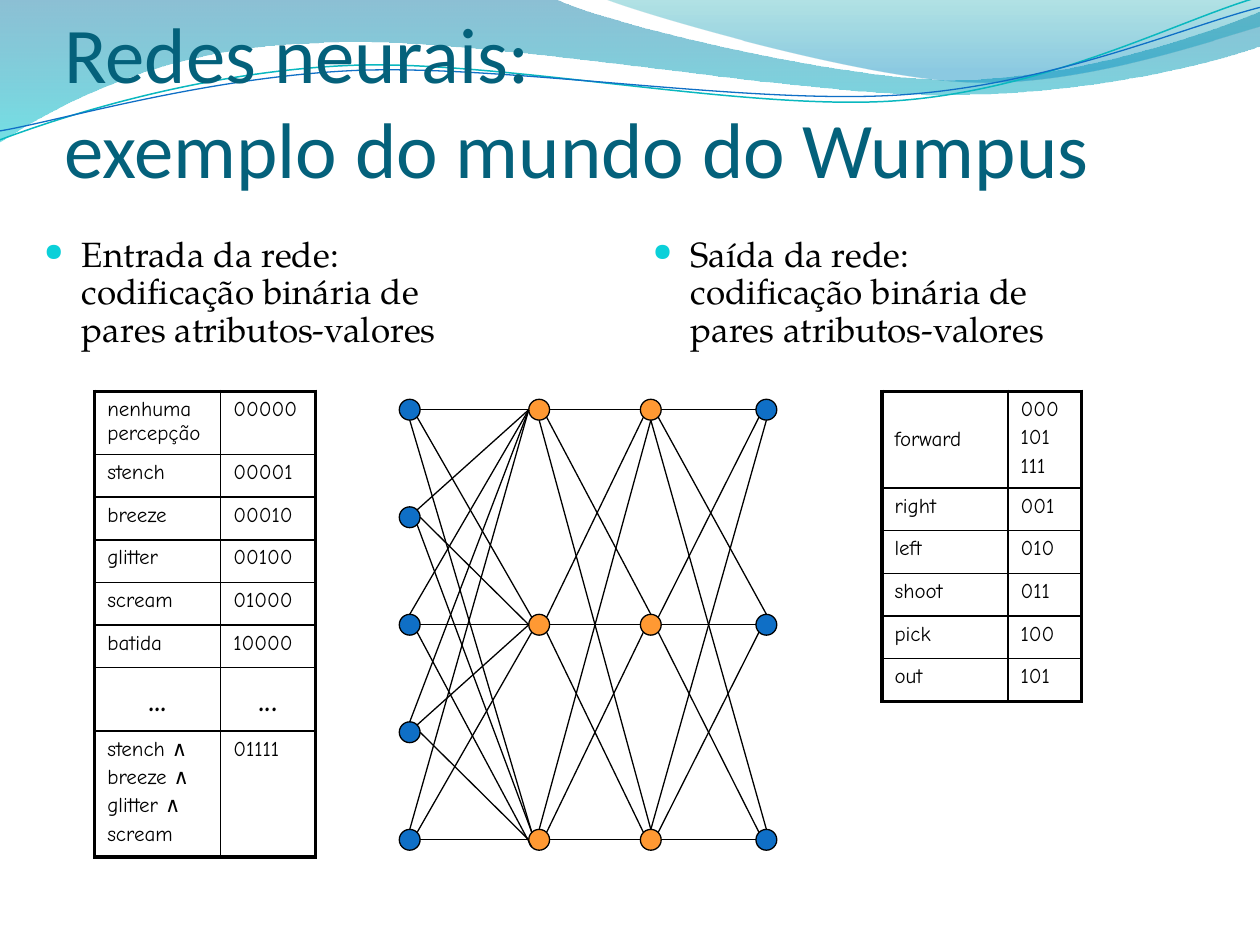
import lxml.etree
import pptx
import pptx.dml.color
import pptx.enum.shapes
import pptx.enum.text
import pptx.oxml.ns
import pptx.util

Cm = pptx.util.Cm
Pt = pptx.util.Pt
qn = pptx.oxml.ns.qn
ALIGN = pptx.enum.text.PP_ALIGN
ANCHOR = pptx.enum.text.MSO_ANCHOR

HUE = {"black": "000000", "title": "04617B", "bullet": "0BD0D9",
       "blue": "0F6FC6", "orange": "FF9933", "teal": "0AB8BF",
       "sea": "0074A1", "aqua": "00C6CF", "mint": "00A1A9", "sky": "008BBF"}

# One point is a straight step; three points are a Bézier step.
WAVES = [
    ([[(0, 0)], [(11.18, -0.03)],
      [(12.09, 0.43), (16.87, 1.6), (19.25, 1.6)],
      [(21.67, 1.6), (24.33, 0.66), (25.4, 0.23)], [(25.43, 0.91)],
      [(24.97, 1.12), (22.1, 1.93), (18.95, 1.91)],
      [(15.8, 1.91), (9.7, 0.71), (6.53, 0.86)],
      [(3.28, 0.91), (1.17, 2.11), (-0.03, 2.87)], [(0, 0)]],
     [(0, "sea", 45), (1, "aqua", 55)]),
    ([[(12.17, -0.03)],
      [(12.93, 0.28), (17.32, 1.57), (19.53, 1.65)],
      [(21.74, 1.75), (24.41, 0.81), (25.4, 0.53)],
      [(25.4, 0)], [(12.17, -0.03)]],
     [(0, "mint", 30), (0.8, "sky", 45)]),
]
STROKES = [
    ([[(0, 2.82)],
      [(1.22, 2.36), (4.01, 1.45), (7.04, 1.32)],
      [(10.03, 1.19), (15.06, 2.26), (18.11, 2.03)],
      [(21.16, 1.8), (23.83, 0.38), (25.35, -0.05)]], "teal", 0.85),
    ([[(0, 2.64)],
      [(1.19, 2.44), (4.17, 1.55), (7.19, 1.42)],
      [(10.24, 1.3), (15.16, 2.13), (18.21, 1.91)],
      [(21.23, 1.7), (23.9, 0.53), (25.4, 0.15)]], "blue", 0.75),
]

TITLE = "Redes neurais:\vexemplo do mundo do Wumpus"
NOTES = [
    (0.64, 9.32, "Entrada da rede:\vcodificação binária de\vpares atributos-valores"),
    (12.91, 11.86, "Saída da rede:\vcodificação binária de\vpares atributos-valores"),
]

# Left edge, height, column widths, rows of label and code
GRIDS = [
    (1.91, 9.53, (2.54, 1.91), [
        ("nenhuma percepção", "00000"), ("stench", "00001"),
        ("breeze", "00010"), ("glitter", "00100"), ("scream", "01000"),
        ("batida", "10000"), ("...", "..."),
        ("stench ∧\nbreeze ∧\nglitter ∧\nscream", "01111")]),
    (17.78, 6.3, (2.54, 1.48), [
        ("forward", "000\n101\n111"), ("right", "001"), ("left", "010"),
        ("shoot", "011"), ("pick", "100"), ("out", "101")]),
]

# Centre of each layer, number of nodes, colour
LAYERS = [(8.26, 5, "blue"), (10.87, 3, "orange"),
          (13.12, 3, "orange"), (15.45, 3, "blue")]
NET_TOP, NET_TALL, RADIUS = 8.26, 8.67, 0.21
# Node and side at the start, node and side at the end
FIRST = ["0e 0w", "0se 1nw", "0s 2nw", "1ne 0w", "2n 0w", "3n 0w", "4n 0w",
         "1e 1w", "1se 2nw", "2e 1w", "2se 2sw", "3ne 1w", "4ne 1sw",
         "3e 2w", "4e 2w"]
LATER = ["0e 0w", "0s 2n", "0se 1n", "1e 1w", "1se 2nw", "1ne 0sw",
         "2e 2w", "2n 0s", "2ne 1sw"]
LINKS = [FIRST, LATER, LATER]


def rgb(name):
    return pptx.dml.color.RGBColor.from_string(HUE[name])


def put(frame, text, size=12, font="Comic Neue", color="black",
        align=ALIGN.LEFT, gap=0, bullet=False, space=None):
    """Write text in a frame, one paragraph to a line."""
    for i, line in enumerate(text.split("\n")):
        para = frame.add_paragraph() if i else frame.paragraphs[0]
        if bullet:
            mark(para)
        para.text = line
        para.alignment = align
        para.space_before = Pt(gap if i else 0)
        if space:
            para.line_spacing = space
        for run in para.runs:
            run.font.name = font
            run.font.size = Pt(size)
            run.font.color.rgb = rgb(color)


def mark(para):
    """Give a paragraph a round bullet and a hanging indent."""
    props = para._p.get_or_add_pPr()
    props.set("marL", str(Cm(0.76)))
    props.set("indent", str(-Cm(0.76)))
    tint = lxml.etree.SubElement(props, qn("a:buClr"))
    lxml.etree.SubElement(tint, qn("a:srgbClr"), val=HUE["bullet"])
    lxml.etree.SubElement(props, qn("a:buSzPct"), val="70000")
    lxml.etree.SubElement(props, qn("a:buChar"), char="●")


def box(slide, left, top, wide, high):
    frame = slide.shapes.add_textbox(Cm(left), Cm(top), Cm(wide), Cm(high)).text_frame
    frame.word_wrap = True
    return frame


def draw(slide, steps):
    """Draw a freeform, then bend each step of three points into a curve."""
    pts = [(Cm(x), Cm(y)) for step in steps for x, y in step]
    pen = slide.shapes.build_freeform(*pts[0])
    pen.add_line_segments(pts[1:], close=pts[0] == pts[-1])
    shape = pen.convert_to_shape()
    shape.shadow.inherit = False
    lines = iter(list(shape._element.iter(qn("a:lnTo"))))
    for step in steps[1:]:
        group = [next(lines) for _ in step]
        if len(group) == 3:
            curve = lxml.etree.Element(qn("a:cubicBezTo"))
            group[0].addprevious(curve)
            for line in group:
                curve.append(line[0])
                line.getparent().remove(line)
    return shape


def wash(shape, stops):
    """Fill a shape from top to bottom with see-through colours."""
    shape.line.fill.background()
    shape.fill.gradient()
    shape.fill.gradient_angle = 270
    for stop, (place, color, _) in zip(shape.fill.gradient_stops, stops):
        stop.position = place
        stop.color.rgb = rgb(color)
    tints = shape._element.spPr.iter(qn("a:srgbClr"))
    for tint, (_, _, alpha) in zip(tints, stops):
        lxml.etree.SubElement(tint, qn("a:alpha"), val=str(alpha * 1000))


def edge(cell, side, width):
    line = lxml.etree.SubElement(cell._tc.get_or_add_tcPr(), qn("a:ln" + side),
                                 w=str(Pt(width)))
    fill = lxml.etree.SubElement(line, qn("a:solidFill"))
    lxml.etree.SubElement(fill, qn("a:srgbClr"), val=HUE["black"])


def grid(slide, left, high, cols, rows):
    frame = slide.shapes.add_table(len(rows), len(cols), Cm(left), Cm(7.89),
                                   Cm(sum(cols)), Cm(high))
    table = frame.table
    table.first_row = table.horz_banding = False
    for c, wide in enumerate(cols):
        table.columns[c].width = Cm(wide)
    last = len(rows) - 1
    for r, texts in enumerate(rows):
        dots = texts[0] == "..."
        table.rows[r].height = Cm(0.51 if dots else 0.86)
        for c, text in enumerate(texts):
            cell = table.cell(r, c)
            put(cell.text_frame, text, size=24 if dots else 12, gap=2.4,
                align=ALIGN.CENTER if dots else ALIGN.LEFT)
            if text == "forward":
                cell.vertical_anchor = ANCHOR.MIDDLE
            outer = {"L": c == 0, "R": c == 1, "T": r == 0, "B": r == last}
            for side, thick in outer.items():
                edge(cell, side, 2.25 if thick else 1)
            cell.fill.background()
    frame.height = Cm(high)


def spot(layer, end):
    """Find the point on a node's rim, from a name such as 0se."""
    x, count, _ = LAYERS[layer]
    side = end[1:]
    dx = ("e" in side) - ("w" in side)
    dy = ("s" in side) - ("n" in side)
    reach = RADIUS / (dx * dx + dy * dy) ** 0.5
    y = NET_TOP + int(end[0]) * NET_TALL / (count - 1)
    return Cm(x + dx * reach), Cm(y + dy * reach)


def net(slide):
    shapes = slide.shapes.add_group_shape().shapes
    for x, count, color in LAYERS:
        for n in range(count):
            y = NET_TOP + n * NET_TALL / (count - 1)
            node = shapes.add_shape(pptx.enum.shapes.MSO_SHAPE.OVAL, Cm(x - RADIUS),
                                    Cm(y - RADIUS), Cm(2 * RADIUS), Cm(2 * RADIUS))
            node.shadow.inherit = False
            node.fill.solid()
            node.fill.fore_color.rgb = rgb(color)
            node.line.color.rgb = rgb("black")
            node.line.width = Pt(0.75)
    for layer, links in enumerate(LINKS):
        for link in links:
            start, end = link.split()
            wire = shapes.add_connector(pptx.enum.shapes.MSO_CONNECTOR.STRAIGHT,
                                        *spot(layer, start), *spot(layer + 1, end))
            wire.line.color.rgb = rgb("black")
            wire.line.width = Pt(0.75)
            lxml.etree.SubElement(wire._element.spPr, qn("a:effectLst"))


def main():
    deck = pptx.Presentation()
    deck.slide_width, deck.slide_height = Cm(25.4), Cm(19.05)
    slide = deck.slides.add_slide(deck.slide_layouts[6])
    for steps, stops in WAVES:
        wash(draw(slide, steps), stops)
    for steps, color, width in STROKES:
        stroke = draw(slide, steps)
        stroke.fill.background()
        stroke.line.color.rgb = rgb(color)
        stroke.line.width = Pt(width)
    head = box(slide, 1.3, 0.73, 22.86, 3.18)
    head.margin_left = head.margin_right = head.margin_bottom = 0
    head.vertical_anchor = ANCHOR.BOTTOM
    put(head, TITLE, size=45, font="Calibri", color="title")
    for left, wide, text in NOTES:
        put(box(slide, left, 4.65, wide, 2.7), text, size=20,
            font="TeX Gyre Pagella", bullet=True, space=0.9)
    for item in GRIDS:
        grid(slide, *item)
    net(slide)
    deck.save("out.pptx")


if __name__ == "__main__":
    main()
